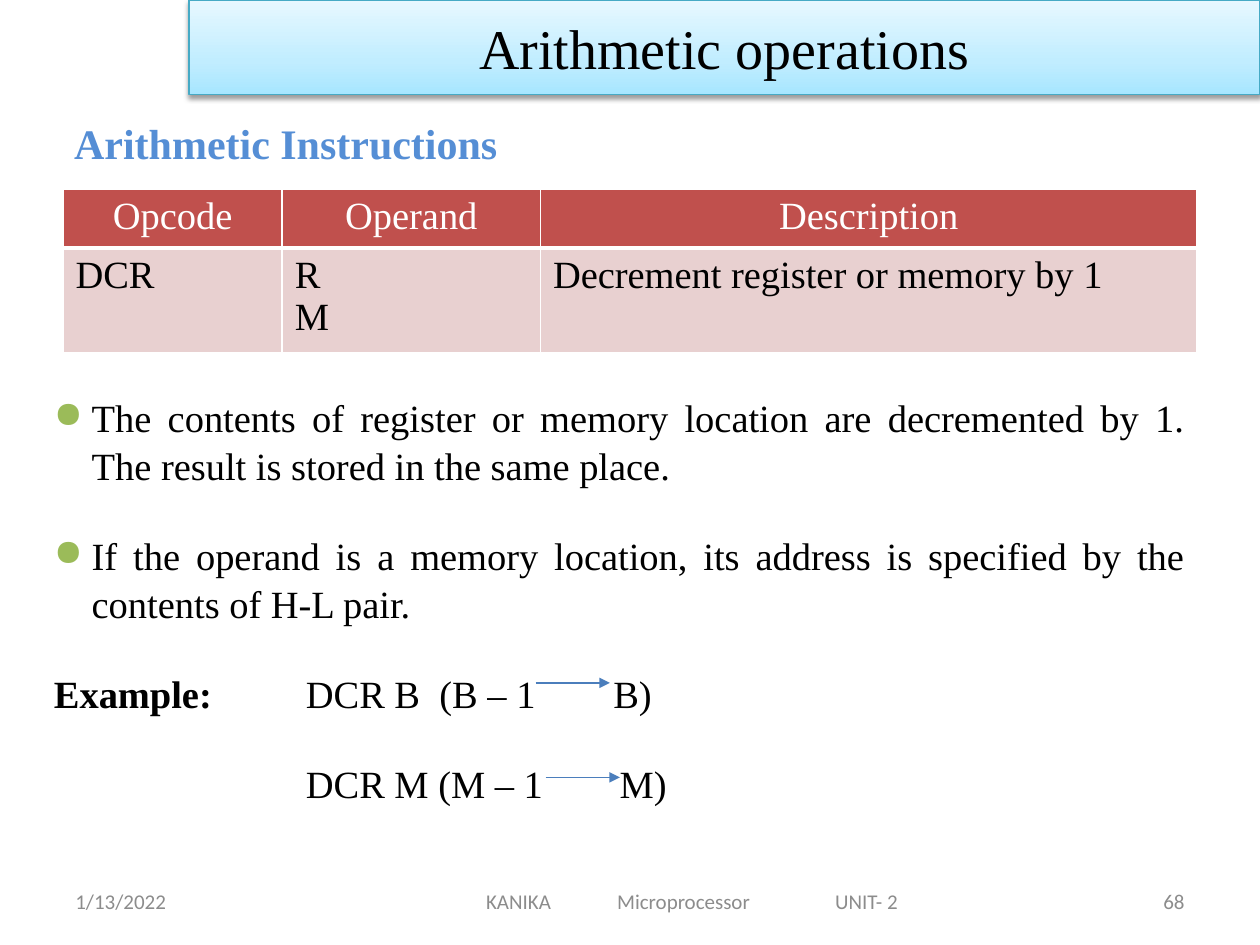
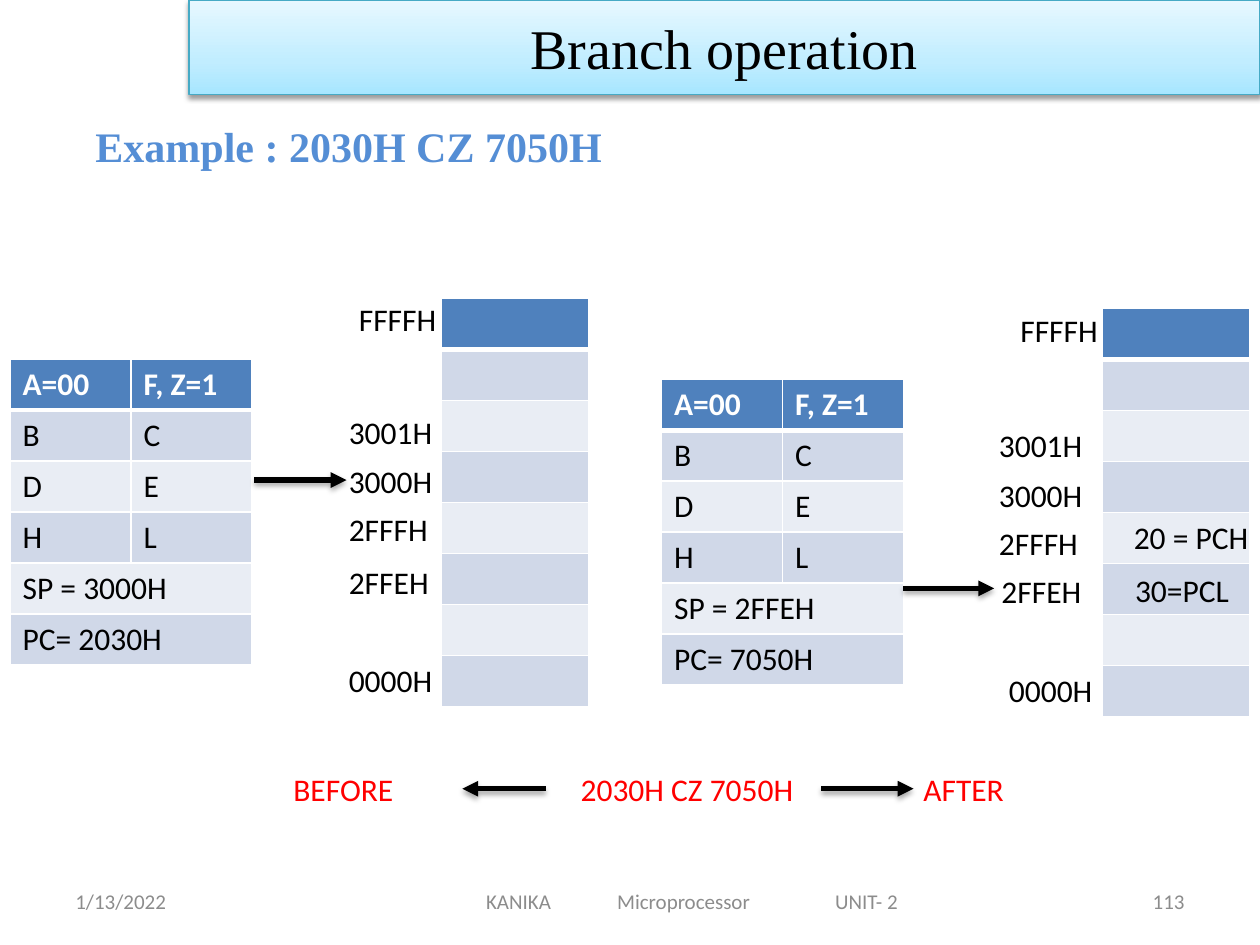
from dataclasses import dataclass
from typing import Optional, Sequence

import lxml.etree
import pptx
import pptx.dml.color
import pptx.enum.shapes
import pptx.enum.text
import pptx.oxml
import pptx.oxml.ns
import pptx.util

RGBColor = pptx.dml.color.RGBColor
ALIGN = pptx.enum.text.PP_ALIGN
ANCHOR = pptx.enum.text.MSO_ANCHOR

BLACK = RGBColor(0, 0, 0)
WHITE = RGBColor(255, 255, 255)
GREY = RGBColor(0x8C, 0x8C, 0x8C)
HEADING_BLUE = RGBColor(0x55, 0x8E, 0xD5)
BAND_EDGE = RGBColor(0x46, 0xAA, 0xC5)
ARROW_BLUE = RGBColor(0x4B, 0x7E, 0xBC)
CAPTION_RED = RGBColor(255, 0, 0)
BULLET_GREEN = RGBColor(0x9B, 0xBB, 0x59)
BLUE_FILLS = (RGBColor(0x4F, 0x81, 0xBD), RGBColor(0xD0, 0xD8, 0xE8), RGBColor(0xE9, 0xED, 0xF4))
RED_FILLS = (RGBColor(0xC0, 0x50, 0x4D), RGBColor(0xE8, 0xD0, 0xD0), RGBColor(0xE8, 0xD0, 0xD0))
BAND_STOPS = (
    (0, RGBColor(0xA7, 0xE6, 0xFF)),
    (35, RGBColor(0xC1, 0xED, 0xFF)),
    (100, RGBColor(0xE7, 0xF8, 0xFF)),
)

SLIDE_WIDTH = pptx.util.Inches(10)
SLIDE_HEIGHT = pptx.util.Inches(7.5)
GRID_COLUMNS = 100
GRID_ROWS = 75
TABLE_ROW = 4.05
LABEL_WIDTH = 13.3
LABEL_HEIGHT = 4


@dataclass(frozen=True)
class TextStyle:
    size: float
    font: str = "Calibri"
    color: RGBColor = BLACK
    bold: bool = False


TITLE = TextStyle(32, "Times New Roman")
HEADING = TextStyle(24, "Times New Roman", HEADING_BLUE, True)
BODY = TextStyle(22, "Times New Roman")
BODY_BOLD = TextStyle(22, "Times New Roman", bold=True)
BODY_HEADER = TextStyle(22, "Times New Roman", WHITE)
LABEL = TextStyle(18)
LABEL_HEADER = TextStyle(18, color=WHITE, bold=True)
CAPTION = TextStyle(18, color=CAPTION_RED)
FOOTER = TextStyle(12, color=GREY)


@dataclass(frozen=True)
class Label:
    text: str
    left: float
    top: float
    width: float = LABEL_WIDTH


@dataclass(frozen=True)
class Arrow:
    start: float
    end: float
    row: float
    color: RGBColor = BLACK
    weight: float = 3
    raised: bool = True


@dataclass(frozen=True)
class MachineState:
    registers_at: tuple[float, float]
    memory_at: tuple[float, float]
    stack_pointer: str
    program_counter: str
    labels: tuple[Label, ...]
    stack_arrow: Arrow


BEFORE = MachineState(
    (0.8, 28.5), (35, 23.7), "SP = 3000H", "PC= 2030H",
    (
        Label("FFFFH", 27.5, 23.3),
        Label("3001H", 26.7, 32.3),
        Label("3000H", 26.7, 36.2),
        Label("2FFFH", 26.7, 40),
        Label("2FFEH", 26.7, 44.2),
        Label("0000H", 26.7, 52),
    ),
    Arrow(20.2, 27.5, 38.1),
)
AFTER = MachineState(
    (52.5, 30.1), (87.5, 24.5), "SP = 2FFEH", "PC= 7050H",
    (
        Label("FFFFH", 80, 24.2),
        Label("3001H", 78.3, 33.3),
        Label("3000H", 78.3, 37.3),
        Label("2FFFH", 78.3, 41.1),
        Label("2FFEH", 78.5, 44.9),
        Label("0000H", 79.1, 52.8),
        Label("20 = PCH", 89, 40.6, 16.5),
        Label("30=PCL", 89.1, 44.8, 9.9),
    ),
    Arrow(71.7, 78.9, 46.7),
)


def across(columns: float) -> int:
    return round(SLIDE_WIDTH * columns / GRID_COLUMNS)


def down(rows: float) -> int:
    return round(SLIDE_HEIGHT * rows / GRID_ROWS)


def child(parent, tag: str, **attributes):
    return lxml.etree.SubElement(
        parent, pptx.oxml.ns.qn(tag), {key: str(value) for key, value in attributes.items()})


def add_shadow(effects, opacity: int, distance: float) -> None:
    shadow = child(effects, "a:outerShdw", blurRad=pptx.util.Pt(3.1), dist=pptx.util.Pt(distance),
                   dir=90 * 60000, rotWithShape=0)
    child(child(shadow, "a:srgbClr", val=BLACK), "a:alpha", val=opacity * 1000)


def add_span(para, text: str, style: TextStyle) -> None:
    span = para.add_run()
    span.text = text
    span.font.size = pptx.util.Pt(style.size)
    span.font.name = style.font
    span.font.bold = style.bold
    span.font.color.rgb = style.color


def set_tabs(para, stops: Sequence[float]) -> None:
    tabs = child(para._p.get_or_add_pPr(), "a:tabLst")
    for stop in stops:
        child(tabs, "a:tab", pos=across(stop), algn="l")


def add_text(page, left: float, top: float, width: float, height: float, text: str,
             style: TextStyle, align=ALIGN.LEFT, anchor=ANCHOR.TOP, tabs: Sequence[float] = ()):
    box = page.shapes.add_textbox(across(left), down(top), across(width), down(height))
    box.text_frame.word_wrap = True
    box.text_frame.vertical_anchor = anchor
    para = box.text_frame.paragraphs[0]
    para.alignment = align
    if tabs:
        set_tabs(para, tabs)
    add_span(para, text, style)


def add_arrow(page, arrow: Arrow) -> None:
    line = page.shapes.add_connector(
        pptx.enum.shapes.MSO_CONNECTOR.STRAIGHT,
        across(arrow.start), down(arrow.row), across(arrow.end), down(arrow.row))
    line.line.color.rgb = arrow.color
    line.line.width = pptx.util.Pt(arrow.weight)
    child(line.line._get_or_add_ln(), "a:tailEnd", type="triangle")
    effects = child(line._element.spPr, "a:effectLst")
    if arrow.raised:
        add_shadow(effects, 35, 1.8)


def style_cell(cell, fill: RGBColor, is_header: bool) -> None:
    properties = cell._tc.get_or_add_tcPr()
    for side in ("L", "R", "T", "B"):
        weight = 3 if is_header and side == "B" else 1
        border = child(properties, f"a:ln{side}", w=pptx.util.Pt(weight))
        child(child(border, "a:solidFill"), "a:srgbClr", val=WHITE)
    cell.fill.solid()
    cell.fill.fore_color.rgb = fill


def add_grid(page, at: tuple[float, float], widths: Sequence[float], heights: Sequence[float],
             content: Sequence[Sequence[Optional[str]]], fills: Sequence[RGBColor],
             header: TextStyle, body: TextStyle, header_align=ALIGN.LEFT) -> None:
    table = page.shapes.add_table(
        len(heights), len(widths), across(at[0]), down(at[1]),
        across(sum(widths)), down(sum(heights))).table
    for column, width in zip(table.columns, widths):
        column.width = across(width)
    for number, (row, height, texts) in enumerate(zip(table.rows, heights, content)):
        row.height = down(height)
        is_header = number == 0
        fill = fills[0] if is_header else fills[2 - number % 2]
        for cell, text in zip(row.cells, texts):
            style_cell(cell, fill, is_header)
            for index, line in enumerate(text.split("\n") if text else ()):
                frame = cell.text_frame
                para = frame.add_paragraph() if index else frame.paragraphs[0]
                para.alignment = header_align if is_header else ALIGN.LEFT
                add_span(para, line, header if is_header else body)
        if None in texts:
            table.cell(number, 0).merge(table.cell(number, len(widths) - 1))


def add_page(deck, title: str, number: str):
    page = deck.slides.add_slide(deck.slide_layouts[6])
    add_text(page, 27.5, 69.5, 55, 4, "\tKANIKA\tMicroprocessor\tUNIT- 2", FOOTER,
             anchor=ANCHOR.MIDDLE, tabs=(10.1, 20.5, 37.8))
    add_text(page, 71.7, 69.5, 23.3, 4, number, FOOTER, ALIGN.RIGHT, ANCHOR.MIDDLE)
    add_text(page, 5, 69.5, 23.3, 4, "1/13/2022", FOOTER, anchor=ANCHOR.MIDDLE)
    band = page.shapes.add_shape(pptx.enum.shapes.MSO_SHAPE.RECTANGLE,
                                 across(15), 0, across(85), down(7.5))
    band.line.color.rgb = BAND_EDGE
    band.line.width = pptx.util.Pt(0.75)
    band.shadow.inherit = False
    properties = band._element.spPr
    add_shadow(properties.find(pptx.oxml.ns.qn("a:effectLst")), 38, 1.6)
    gradient = child(properties, "a:gradFill", rotWithShape=1)
    stops = child(gradient, "a:gsLst")
    for position, color in BAND_STOPS:
        child(child(stops, "a:gs", pos=position * 1000), "a:srgbClr", val=color)
    child(gradient, "a:lin", ang=270 * 60000, scaled=0)
    properties.find(pptx.oxml.ns.qn("a:ln")).addprevious(gradient)
    band.text_frame.vertical_anchor = ANCHOR.MIDDLE
    para = band.text_frame.paragraphs[0]
    para.alignment = ALIGN.CENTER
    add_span(para, title, TITLE)
    return page


def add_explanation(page) -> None:
    box = page.shapes.add_textbox(across(3.3), down(30.6), across(91.7), down(34))
    frame = box.text_frame
    frame.word_wrap = True
    bullets = (
        "The contents of register or memory location are decremented by 1. "
        "The result is stored in the same place.",
        "If the operand is a memory location, its address is specified by the contents of H-L pair.",
    )
    examples = (
        ("Example:", "\tDCR B\t(B – 1\tB)", (20, 30.6, 44.4)),
        ("", "\tDCR M (M – 1\tM)", (20, 44.9)),
    )
    paras = [frame.paragraphs[0]] + [frame.add_paragraph() for _ in range(3)]
    for para in paras:
        para.alignment = ALIGN.JUSTIFY
        para.line_spacing = 1.04
        para.space_after = pptx.util.Pt(24)
    for para, text in zip(paras, bullets):
        properties = para._p.get_or_add_pPr()
        properties.set("marL", str(across(3)))
        properties.set("indent", str(-across(3)))
        child(child(properties, "a:buClr"), "a:srgbClr", val=BULLET_GREEN)
        child(properties, "a:buSzPct", val=95000)
        child(properties, "a:buChar", char="●")
        add_span(para, text, BODY)
    for para, (lead, text, tabs) in zip(paras[len(bullets):], examples):
        set_tabs(para, tabs)
        if lead:
            add_span(para, lead, BODY_BOLD)
        add_span(para, text, BODY)


def build_arithmetic(deck) -> None:
    page = add_page(deck, "Arithmetic operations", "68")
    add_text(page, 4.9, 8.8, 40, 5, "Arithmetic Instructions", HEADING)
    content = (("Opcode", "Operand", "Description"),
               ("DCR", "R\nM", "Decrement register or memory by 1"))
    add_grid(page, (5, 15), (17.4, 20.5, 52.1), (4.6, 8.3), content, RED_FILLS,
             BODY_HEADER, BODY, ALIGN.CENTER)
    add_explanation(page)
    for start, row in ((42.5, 54.2), (43.3, 61.7)):
        add_arrow(page, Arrow(start, start + 5.9, row, ARROW_BLUE, 0.75, False))


def draw_state(page, state: MachineState) -> None:
    registers = (("A=00", "F, Z=1"), ("B", "C"), ("D", "E"), ("H", "L"),
                 (state.stack_pointer, None), (state.program_counter, None))
    memory = ((None,),) * 8
    for at, widths, content in ((state.registers_at, (9.6, 9.6), registers),
                                (state.memory_at, (11.7,), memory)):
        add_grid(page, at, widths, (TABLE_ROW,) * len(content), content, BLUE_FILLS,
                 LABEL_HEADER, LABEL)
    for label in state.labels:
        add_text(page, label.left, label.top, label.width, LABEL_HEIGHT, label.text, LABEL)
    add_arrow(page, state.stack_arrow)


def build_branch(deck) -> None:
    page = add_page(deck, "Branch operation", "113")
    add_text(page, 6.6, 9.1, 46, 5.1, "Example : 2030H CZ 7050H", HEADING)
    for state in (BEFORE, AFTER):
        draw_state(page, state)
    add_text(page, 22.3, 60.6, 65.2, LABEL_HEIGHT, "BEFORE\t2030H CZ 7050H\tAFTER", CAPTION,
             tabs=(22.8, 50))
    for start, end in ((43.3, 36.7), (65.2, 72.5)):
        add_arrow(page, Arrow(start, end, 62.6))


def main() -> None:
    deck = pptx.Presentation()
    deck.slide_width = SLIDE_WIDTH
    deck.slide_height = SLIDE_HEIGHT
    build_arithmetic(deck)
    build_branch(deck)
    deck.save("out.pptx")


if __name__ == "__main__":
    main()
